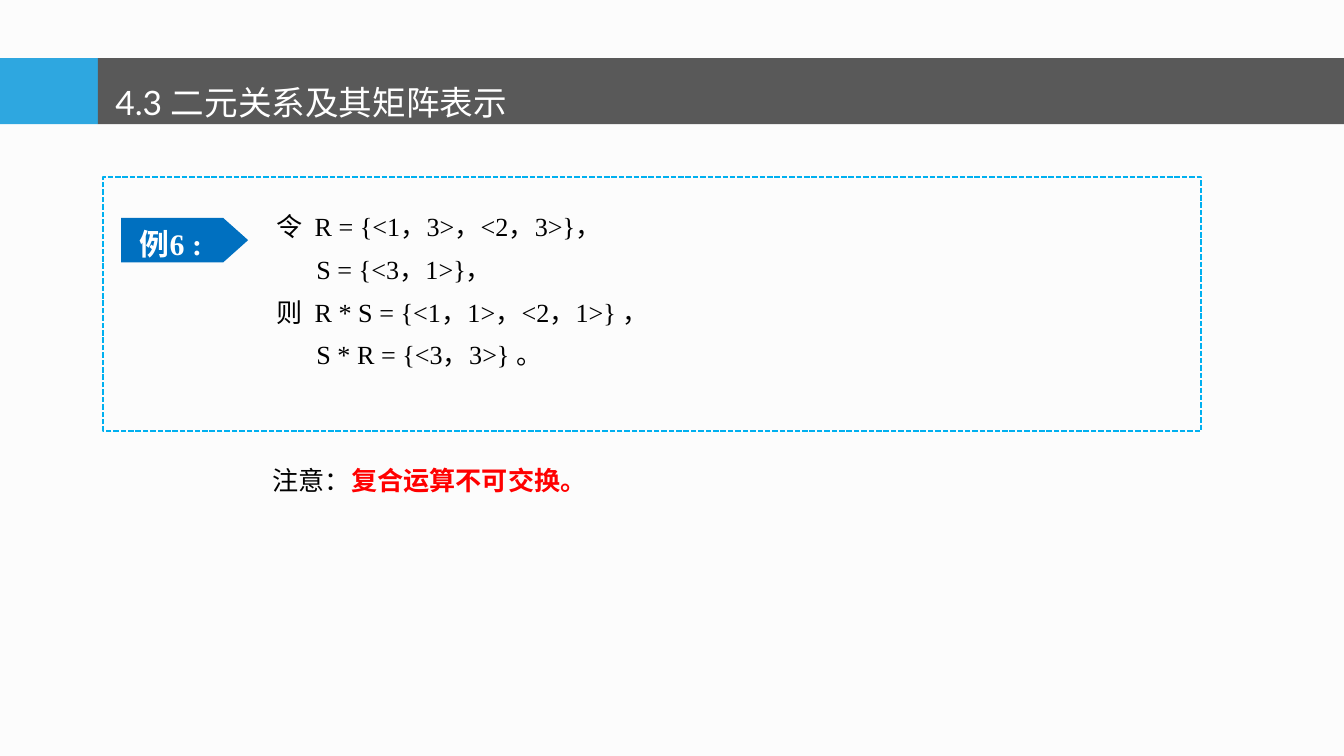
"""Builds a lecture slide with a worked example on composing binary relations."""
from dataclasses import dataclass, field

from pptx import Presentation
from pptx.dml.color import RGBColor
from pptx.enum import dml, shapes, text
from pptx.util import Cm, Pt

COLORS = {
    "paper": "FCFCFC",
    "accent": "2EA7E0",
    "band": "595959",
    "tag": "0070C0",
    "frame": "00B0F0",
    "light": "FFFFFF",
    "ink": "000000",
    "alert": "FF0000",
}
SERIF = "Times New Roman"


@dataclass
class Run:
    """A stretch of text in one format."""
    text: str
    color: str = "ink"
    fmt: dict = field(default_factory=dict)


@dataclass
class Para:
    """A paragraph with its left and first-line indents in centimetres."""
    runs: list[Run]
    left: float = 0
    first: float = 0
    fmt: dict = field(default_factory=dict)


@dataclass
class Box:
    """A shape or text box, placed in centimetres."""
    at: tuple[float, float, float, float]
    paras: list[Para] = field(default_factory=list)
    frame: dict = field(default_factory=dict)
    kind: shapes.MSO_SHAPE = shapes.MSO_SHAPE.RECTANGLE
    fill: str = ""
    line: str = ""
    adj: float | None = None


def rgb(name: str) -> RGBColor:
    """Looks up a named colour."""
    return RGBColor.from_string(COLORS[name])


def apply(obj, fmt: dict) -> None:
    """Sets every attribute named in the format."""
    for name, value in fmt.items():
        setattr(obj, name, value)


def write(tf, box: Box) -> None:
    """Fills a text frame with the paragraphs of a box."""
    apply(tf, {"word_wrap": True} | box.frame)
    for i, para in enumerate(box.paras):
        p = tf.add_paragraph() if i else tf.paragraphs[0]
        pPr = p._p.get_or_add_pPr()
        pPr.set("marL", str(Cm(para.left)))
        pPr.set("indent", str(Cm(para.first)))
        apply(p, para.fmt)
        for run in para.runs:
            r = p.add_run()
            r.text = run.text
            apply(r.font, {"name": SERIF, "size": Pt(14)} | run.fmt)
            r.font.color.rgb = rgb(run.color)


def draw_text(s, box: Box) -> None:
    """Draws a plain text box."""
    write(s.shapes.add_textbox(*map(Cm, box.at)).text_frame, box)


def draw_shape(s, box: Box) -> None:
    """Draws a filled or outlined preset shape."""
    sp = s.shapes.add_shape(box.kind, *map(Cm, box.at))
    sp.shadow.inherit = False
    if box.adj is not None:
        sp.adjustments[0] = box.adj
    if box.fill:
        sp.fill.solid()
        sp.fill.fore_color.rgb = rgb(box.fill)
    else:
        sp.fill.background()
    if box.line:
        sp.line.color.rgb = rgb(box.line)
        apply(sp.line, {"width": Pt(1), "dash_style": dml.MSO_LINE.SQUARE_DOT})
    else:
        sp.line.fill.background()
    if box.paras:
        write(sp.text_frame, box)


def formula(i: int, line: str) -> Para:
    """Makes one line of the example, indenting the lines that only continue."""
    left, first = (0.97, -0.97) if line[0] in "令则" else (0.75, 0)
    fmt = {"alignment": text.PP_ALIGN.JUSTIFY, "space_before": Pt(6 if i else 0)}
    return Para([Run(line)], left, first, fmt)


FORMULAS = [
    "令  R = {<1，3>，<2，3>}，",
    "S = {<3，1>}，",
    "则  R * S = {<1，1>，<2，1>} ，",
    "S * R = {<3，3>} 。",
]
HEADER = [
    Box((0, 1.1, 1.85, 1.25), fill="accent"),
    Box((1.85, 1.1, 23.55, 1.25), fill="band"),
]
TITLE = Box(
    (1.93, 0.89, 8.23, 1.57),
    [Para([Run("4.3 二元关系及其矩阵表示", "light", {"name": "Lato", "size": Pt(18)})],
          fmt={"line_spacing": 1.7})],
    {"word_wrap": False},
)
EXAMPLE = Box((4.98, 3.86, 11.5, 4.11),
              [formula(i, line) for i, line in enumerate(FORMULAS)])
NOTE = Box((4.9, 8.66, 8.4, 0.86),
           [Para([Run("注意："), Run("复合运算不可交换。", "alert", {"bold": True})])])
TAG = Box(
    (2.29, 4.12, 2.4, 0.84),
    [Para([Run("例6 :", "light", {"size": Pt(16), "bold": True})],
          fmt={"alignment": text.PP_ALIGN.CENTER, "line_spacing": 1.2})],
    {"word_wrap": False, "vertical_anchor": text.MSO_ANCHOR.MIDDLE,
     "margin_right": Cm(0.53)},
    shapes.MSO_SHAPE.PENTAGON, "tag", adj=0.56,
)
FRAME = Box((1.95, 3.35, 20.75, 4.8), line="frame")


def main() -> None:
    """Builds and saves the slide."""
    prs = Presentation()
    apply(prs, {"slide_width": Cm(25.4), "slide_height": Cm(14.29)})
    s = prs.slides.add_slide(prs.slide_layouts[6])
    s.background.fill.solid()
    s.background.fill.fore_color.rgb = rgb("paper")
    for box in HEADER:
        draw_shape(s, box)
    for box in (TITLE, EXAMPLE, NOTE):
        draw_text(s, box)
    for box in (TAG, FRAME):
        draw_shape(s, box)
    prs.save("out.pptx")


if __name__ == "__main__":
    main()
